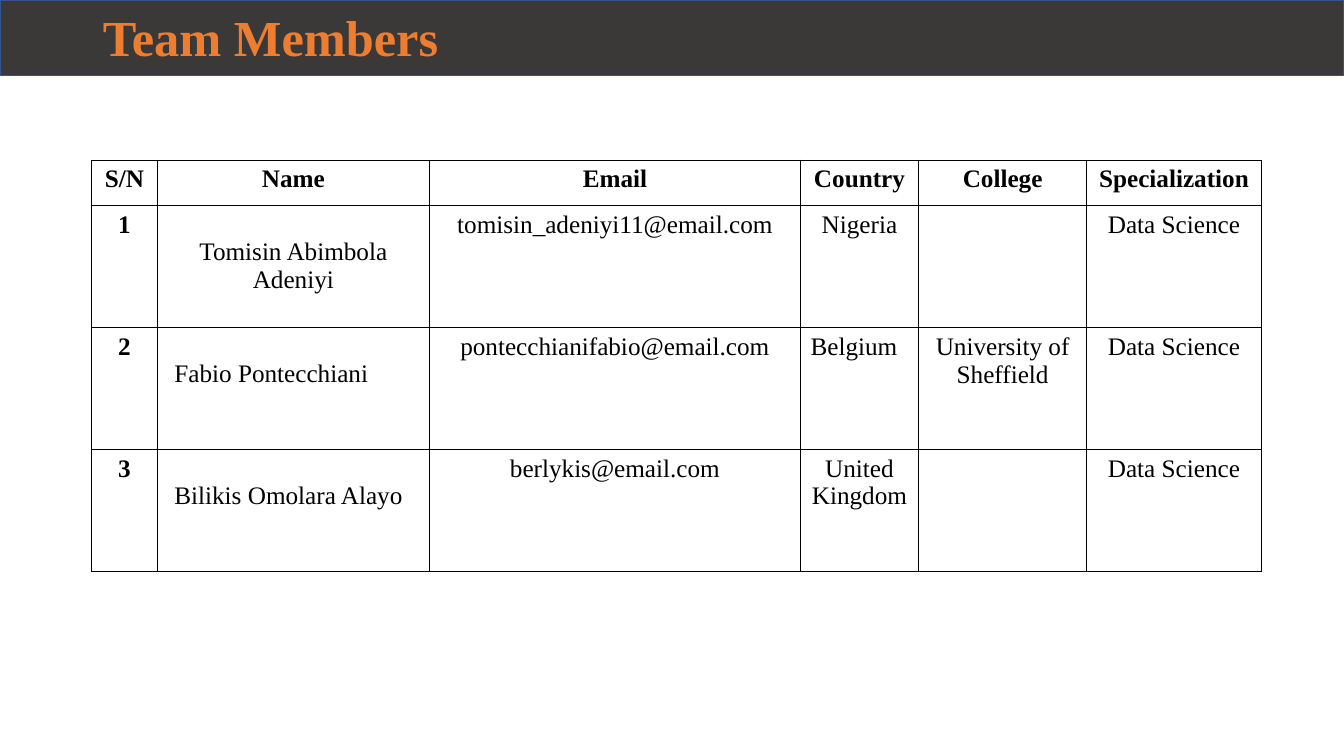
from lxml import etree
from pptx import Presentation
from pptx.dml.color import RGBColor
from pptx.enum.shapes import MSO_SHAPE
from pptx.enum.text import MSO_ANCHOR, PP_ALIGN
from pptx.oxml.ns import qn
from pptx.util import Inches, Pt

RECTANGLE = MSO_SHAPE.RECTANGLE
MIDDLE = MSO_ANCHOR.MIDDLE
LEFT, CENTER = PP_ALIGN.LEFT, PP_ALIGN.CENTER
CHARCOAL = RGBColor(0x3B, 0x38, 0x38)
BLUE = RGBColor(0x32, 0x54, 0x91)
ORANGE = RGBColor(0xED, 0x7D, 0x31)
BLACK = RGBColor(0, 0, 0)
FONT = "Times New Roman"

COLUMN_WIDTHS = [0.65, 2.7, 3.68, 1.17, 1.67, 1.73]
HEADER_HEIGHT, MEMBER_HEIGHT = 0.45, 1.21
NAME_COLUMN = 1
NAME_DROP = 0.32
MEMBERS = [
    ["S/N", "Name", "Email", "Country", "College", "Specialization"],
    ["1", "Tomisin Abimbola Adeniyi", "tomisin_adeniyi11@email.com",
     "Nigeria", "", "Data Science"],
    ["2", "Fabio Pontecchiani", "pontecchianifabio@email.com",
     "Belgium", "University of Sheffield", "Data Science"],
    ["3", "Bilikis Omolara Alayo", "berlykis@email.com",
     "United Kingdom", "", "Data Science"],
]
LEFT_ALIGNED = {"Fabio Pontecchiani": 0.17, "Bilikis Omolara Alayo": 0.17,
                "Belgium": 0.1}


def format_text(para, size, color, bold):
    for span in para.runs:
        values = {"name": FONT, "size": Pt(size), "bold": bold}
        for name, value in values.items():
            setattr(span.font, name, value)
        span.font.color.rgb = color


def add_borders(cell):
    properties = cell._tc.get_or_add_tcPr()
    for position, side in enumerate(("a:lnL", "a:lnR", "a:lnT", "a:lnB")):
        line = etree.Element(qn(side), w=str(Pt(1)))
        fill = etree.SubElement(line, qn("a:solidFill"))
        etree.SubElement(fill, qn("a:srgbClr"), val=str(BLACK))
        properties.insert(position, line)


deck = Presentation()
deck.slide_width, deck.slide_height = Inches(13.33), Inches(7.5)
page = deck.slides.add_slide(deck.slide_layouts[5])

# Header band, placed behind the title
band = page.shapes.add_shape(RECTANGLE, 0, 0, deck.slide_width, Inches(0.75))
band.shadow.inherit = False
band.fill.solid()
band.fill.fore_color.rgb = CHARCOAL
band.line.color.rgb = BLUE
band.line.width = Pt(1)
title = page.shapes.title
band._element.addnext(title._element)

# Title
title.left, title.top = Inches(0.92), Inches(0.05)
title.width, title.height = Inches(11.5), Inches(0.7)
title.text_frame.text = "Team Members"
title.text_frame.vertical_anchor = MIDDLE
heading = title.text_frame.paragraphs[0]
heading.alignment = LEFT
heading.line_spacing = 0.9
format_text(heading, 36, ORANGE, True)

# Member table
row_heights = [HEADER_HEIGHT] + [MEMBER_HEIGHT] * (len(MEMBERS) - 1)
frame = page.shapes.add_table(
    len(MEMBERS), len(COLUMN_WIDTHS), Inches(0.91), Inches(1.59),
    Inches(sum(COLUMN_WIDTHS)), Inches(sum(row_heights)))
table = frame.table
table.first_row = table.horz_banding = False
for column, width in zip(table.columns, COLUMN_WIDTHS):
    column.width = Inches(width)

for row, (height, member) in enumerate(zip(row_heights, MEMBERS)):
    table.rows[row].height = Inches(height)
    for column, text in enumerate(member):
        cell = table.cell(row, column)
        dropped = row > 0 and column == NAME_COLUMN
        margins = {"margin_left": LEFT_ALIGNED.get(text, 0.07),
                   "margin_right": 0.07,
                   "margin_top": NAME_DROP if dropped else 0.05,
                   "margin_bottom": 0.05}
        for name, value in margins.items():
            setattr(cell, name, Inches(value))
        cell.fill.background()
        add_borders(cell)
        cell.text = text
        para = cell.text_frame.paragraphs[0]
        para.alignment = LEFT if text in LEFT_ALIGNED else CENTER
        format_text(para, 18, BLACK, row == 0 or column == 0)

deck.save("out.pptx")
